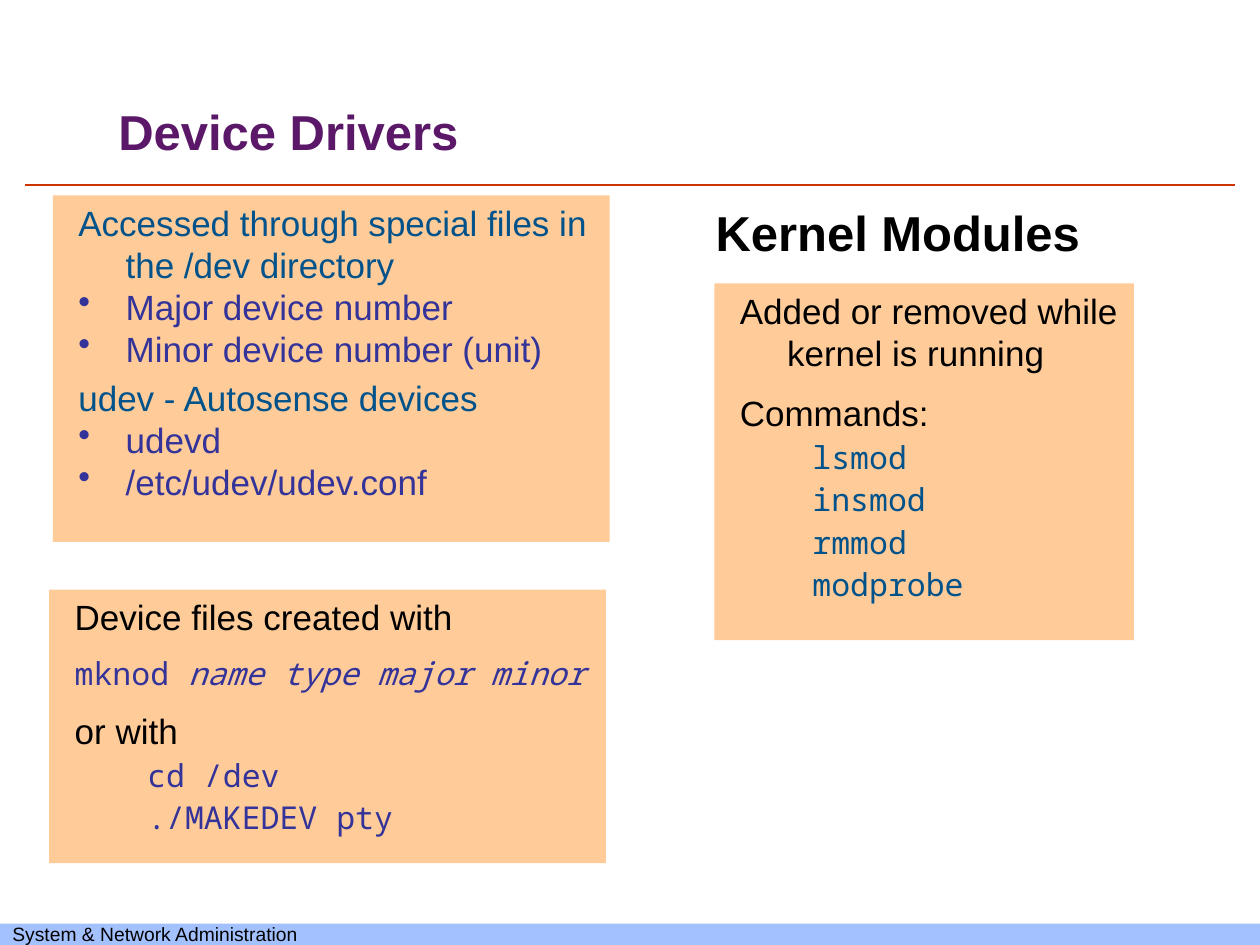
from dataclasses import dataclass

from lxml.etree import SubElement
from pptx import Presentation
from pptx.dml.color import RGBColor
from pptx.enum.shapes import MSO_CONNECTOR as Connector, MSO_SHAPE as Shape
from pptx.enum.text import MSO_ANCHOR as Anchor, PP_ALIGN as Align
from pptx.oxml.ns import qn
from pptx.util import Pt

COLORS = {
    "black": "000000",
    "blue": "00528B",
    "indigo": "333399",
    "purple": "5B1868",
    "panel": "FFCC99",
    "footer": "A2C1FE",
    "rule": "CC3300",
}


@dataclass(frozen=True)
class Style:
    size: float
    font: str = "Arial"
    bold: bool = False
    margin: float = 34.5
    indent: float = -27
    before: float = 0
    bullet: str = ""


@dataclass(frozen=True)
class Line:
    text: str
    style: Style
    color: str
    italic_tail: str = ""


@dataclass(frozen=True)
class Block:
    left: float
    top: float
    width: float
    height: float
    lines: tuple[Line, ...]
    fill: str = ""
    anchor: Anchor = Anchor.TOP
    wrap: bool = True


FOOTER = Style(11, margin=0, indent=0)
TITLE = Style(28, bold=True, margin=6.5, indent=0)
SUBTITLE = Style(28, bold=True, margin=6.5, indent=-6.5)
TOPIC = Style(20, before=4)
ITEM = Style(20, bullet="•")
STEP = Style(20, before=10)
SYNTAX = Style(18, "Noto Sans Mono", before=9)
COMMAND = Style(18, "Noto Sans Mono", margin=71.3, indent=-22.3, before=2.7)

BLOCKS = (
    Block(0, 527.8, 720, 12.2,
          (Line("System & Network Administration", FOOTER, "black"),),
          "footer", Anchor.MIDDLE, False),
    Block(401.8, 92.2, 257.8, 60.5,
          (Line("Kernel Modules", SUBTITLE, "black"),), anchor=Anchor.BOTTOM),
    Block(30.2, 111.6, 318.2, 198, (
        Line("Accessed through special files in the /dev directory", TOPIC, "blue"),
        Line("Major device number", ITEM, "indigo"),
        Line("Minor device number (unit)", ITEM, "indigo"),
        Line("udev - Autosense devices", TOPIC, "blue"),
        Line("udevd", ITEM, "indigo"),
        Line("/etc/udev/udev.conf", ITEM, "indigo"),
    ), "panel"),
    Block(28.1, 337, 318.2, 156.2, (
        Line("Device files created with", STEP, "black"),
        Line("mknod ", SYNTAX, "indigo", "name type major minor"),
        Line("or with", STEP, "black"),
        Line("cd /dev", COMMAND, "indigo"),
        Line("./MAKEDEV pty", COMMAND, "indigo"),
    ), "panel"),
    Block(54, 34.6, 226.8, 60.5,
          (Line("Device Drivers", TITLE, "purple"),), anchor=Anchor.BOTTOM),
    Block(408.2, 162, 239.8, 203.8, (
        Line("Added or removed while kernel is running", STEP, "black"),
        Line("Commands:", STEP, "black"),
        *(Line(name, COMMAND, "blue")
          for name in ("lsmod", "insmod", "rmmod", "modprobe")),
    ), "panel"),
)


def rgb(name: str) -> RGBColor:
    return RGBColor.from_string(COLORS[name])


def write_line(paragraph, line: Line, first: bool) -> None:
    style = line.style
    paragraph.text = line.text
    paragraph.alignment = Align.LEFT
    paragraph.space_before = Pt(0 if first else style.before)
    properties = paragraph._p.get_or_add_pPr()
    properties.set("marL", str(Pt(style.margin)))
    properties.set("indent", str(Pt(style.indent)))
    if style.bullet:
        SubElement(properties, qn("a:buChar"), char=style.bullet)
    else:
        SubElement(properties, qn("a:buNone"))
    if line.italic_tail:
        tail = paragraph.add_run()
        tail.text = line.italic_tail
        tail.font.italic = True
    for run in paragraph.runs:
        run.font.size = Pt(style.size)
        run.font.name = style.font
        run.font.bold = style.bold
        run.font.color.rgb = rgb(line.color)


def draw_block(slide, block: Block) -> None:
    place = [Pt(v) for v in (block.left, block.top, block.width, block.height)]
    if block.fill:
        box = slide.shapes.add_shape(Shape.RECTANGLE, *place)
        box.shadow.inherit = False
        box.fill.solid()
        box.fill.fore_color.rgb = rgb(block.fill)
        box.line.fill.background()
    else:
        box = slide.shapes.add_textbox(*place)
    frame = box.text_frame
    frame.word_wrap = block.wrap
    frame.vertical_anchor = block.anchor
    for index, line in enumerate(block.lines):
        paragraph = frame.add_paragraph() if index else frame.paragraphs[0]
        write_line(paragraph, line, index == 0)


def draw_rule(slide, left: float, right: float, top: float) -> None:
    rule = slide.shapes.add_connector(
        Connector.STRAIGHT, Pt(left), Pt(top), Pt(right), Pt(top))
    rule.line.color.rgb = rgb("rule")
    rule.line.width = Pt(1.5)
    SubElement(rule._element.spPr, qn("a:effectLst"))


def main() -> None:
    """Build the slide on device drivers and kernel modules."""
    deck = Presentation()
    deck.slide_width, deck.slide_height = Pt(720), Pt(540)
    slide = deck.slides.add_slide(deck.slide_layouts[6])
    draw_rule(slide, 14.4, 705.6, 105.8)
    for block in BLOCKS:
        draw_block(slide, block)
    deck.save("out.pptx")


if __name__ == "__main__":
    main()
